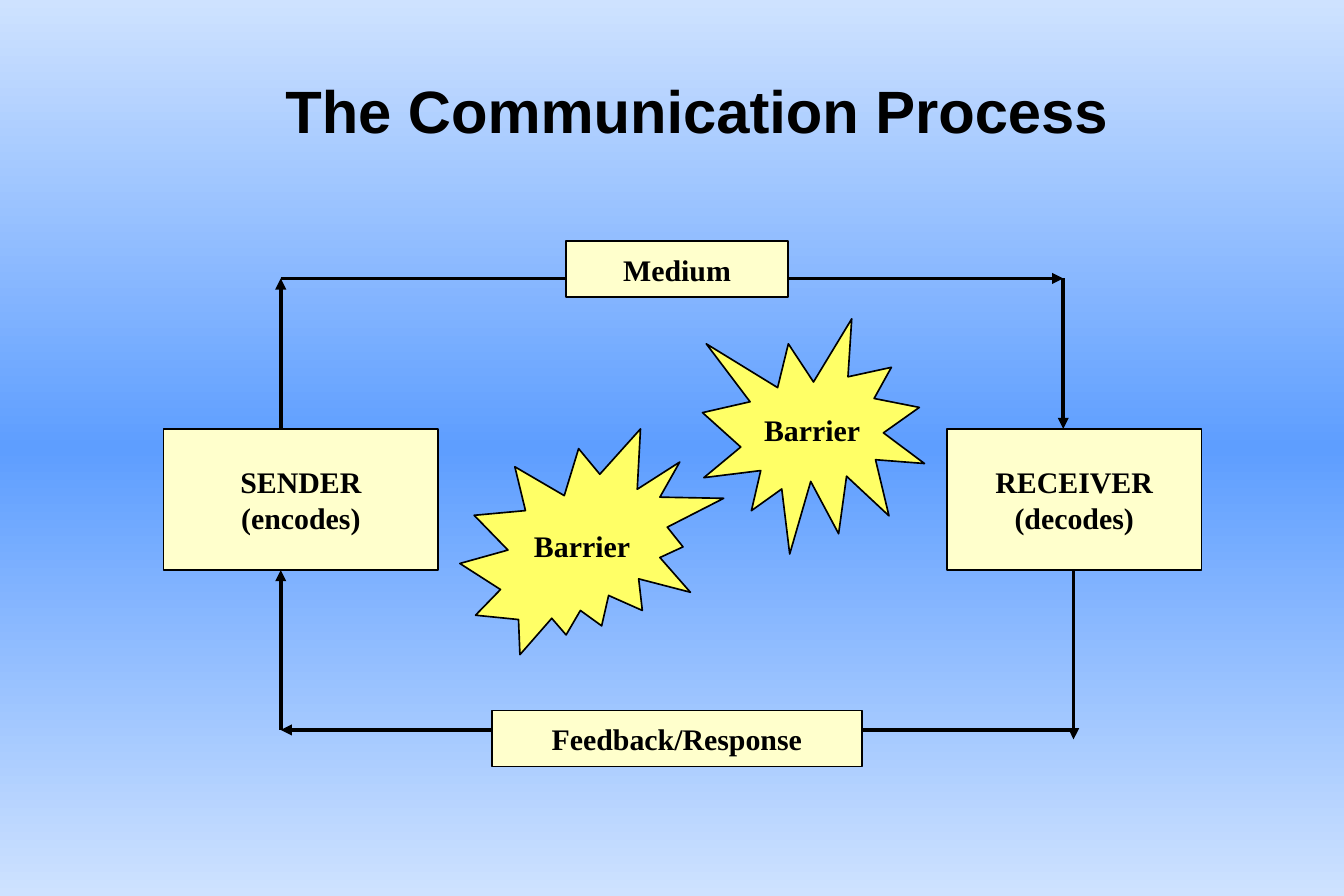
from copy import deepcopy
from dataclasses import dataclass

from lxml.etree import SubElement
from pptx import Presentation
from pptx.dml.color import RGBColor as Rgb
from pptx.enum.shapes import MSO_CONNECTOR as Link
from pptx.enum.shapes import MSO_SHAPE as Form
from pptx.enum.text import MSO_ANCHOR as Anchor
from pptx.enum.text import PP_ALIGN as Align
from pptx.oxml.ns import qn
from pptx.slide import Slide
from pptx.text.text import TextFrame
from pptx.util import Cm, Pt


@dataclass(frozen=True)
class Theme:
    """Colours, fonts and sizes of the slide."""
    ink: Rgb = Rgb.from_string("000000")
    cream: Rgb = Rgb.from_string("FFFFCC")
    yellow: Rgb = Rgb.from_string("FFFF66")
    pale: Rgb = Rgb.from_string("CEE2FF")
    blue: Rgb = Rgb.from_string("5E9EFF")
    head: str = "Arial"
    body: str = "Times New Roman"
    big: Pt = Pt(36)
    text: Pt = Pt(18)
    edge: Pt = Pt(1)
    line: Pt = Pt(2.25)


@dataclass(frozen=True)
class Node:
    """A filled shape with centred text, measured in centimetres."""
    lines: tuple[str, ...]
    left: float
    top: float
    width: float
    height: float
    fill: Rgb
    form: Form = Form.RECTANGLE


@dataclass(frozen=True)
class Arrow:
    """A straight arrow between two points, in centimetres."""
    start: tuple[float, float]
    end: tuple[float, float]


THEME = Theme()
WEST, EAST, EXIT = 5.97, 22.61, 22.83
HIGH, ROOF, BASE, LOW, TIP = 5.92, 9.12, 12.12, 15.52, 15.72

ACTORS = (
    Node(("SENDER", "(encodes)"), 3.48, ROOF, 5.84, BASE - ROOF, THEME.cream),
    Node(("RECEIVER", "(decodes)"), 20.14, ROOF, 5.41, BASE - ROOF, THEME.cream),
    Node(("Barrier",), 9.78, ROOF, 5.61, 4.8, THEME.yellow, Form.EXPLOSION2),
    Node(("Barrier",), 14.94, 6.78, 4.72, 5, THEME.yellow, Form.EXPLOSION1),
)
ARROWS = (
    Arrow((WEST, ROOF), (WEST, HIGH)),
    Arrow((EAST, HIGH), (EAST, ROOF)),
    Arrow((WEST, HIGH), (EAST, HIGH)),
    Arrow((EXIT, BASE), (EXIT, TIP)),
    Arrow((WEST, LOW), (WEST, BASE)),
    Arrow((EXIT, LOW), (WEST, LOW)),
)
LABELS = (
    Node(("Medium",), 12.04, 5.13, 4.72, 1.19, THEME.cream),
    Node(("Feedback/Response",), 10.46, 15.11, 7.87, 1.19, THEME.cream),
)


def write(frame: TextFrame, lines: tuple[str, ...], face: str, size: Pt, wrap: bool) -> None:
    """Write centred bold lines, one paragraph each."""
    frame.word_wrap = wrap
    frame.vertical_anchor = Anchor.MIDDLE
    for spot, line in enumerate(lines):
        para = frame.add_paragraph() if spot else frame.paragraphs[0]
        para.alignment = Align.CENTER
        run = para.add_run()
        run.text = line
        font = run.font
        font.name, font.size, font.bold = face, size, True
        font.color.rgb = THEME.ink


def paint(slide: Slide) -> None:
    """Fill the background from pale to blue and back."""
    fill = slide.background.fill
    fill.gradient()
    fill.gradient_angle = 90
    stops = slide.element.find(".//" + qn("a:gsLst"))
    stops.append(deepcopy(stops[0]))
    shades = (THEME.pale, THEME.blue, THEME.pale)
    for stop, shade, place in zip(fill.gradient_stops, shades, (0, 0.5, 1)):
        stop.color.rgb = shade
        stop.position = place


def title(slide: Slide) -> None:
    """Add the heading."""
    box = slide.shapes.add_textbox(Cm(4.34), Cm(1.07), Cm(20.96), Cm(2.54))
    write(box.text_frame, ("The Communication Process",), THEME.head, THEME.big, True)


def draw(slide: Slide, node: Node) -> None:
    """Add one node."""
    shape = slide.shapes.add_shape(
        node.form, Cm(node.left), Cm(node.top), Cm(node.width), Cm(node.height))
    shape.shadow.inherit = False
    shape.fill.solid()
    shape.fill.fore_color.rgb = node.fill
    shape.line.color.rgb = THEME.ink
    shape.line.width = THEME.edge
    write(shape.text_frame, node.lines, THEME.body, THEME.text, False)


def join(slide: Slide, arrow: Arrow) -> None:
    """Add one arrow with a triangle at its end."""
    ends = (Cm(size) for size in arrow.start + arrow.end)
    link = slide.shapes.add_connector(Link.STRAIGHT, *ends)
    link.line.color.rgb = THEME.ink
    link.line.width = THEME.line
    SubElement(link.line._get_or_add_ln(), qn("a:tailEnd"), type="triangle")
    SubElement(link.element.spPr, qn("a:effectLst"))


def main() -> None:
    """Build and save the slide."""
    deck = Presentation()
    deck.slide_width, deck.slide_height = Cm(28.58), Cm(19.05)
    slide = deck.slides.add_slide(deck.slide_layouts[6])
    paint(slide)
    title(slide)
    for node in ACTORS:
        draw(slide, node)
    for arrow in ARROWS:
        join(slide, arrow)
    for node in LABELS:
        draw(slide, node)
    deck.save("out.pptx")


if __name__ == "__main__":
    main()
